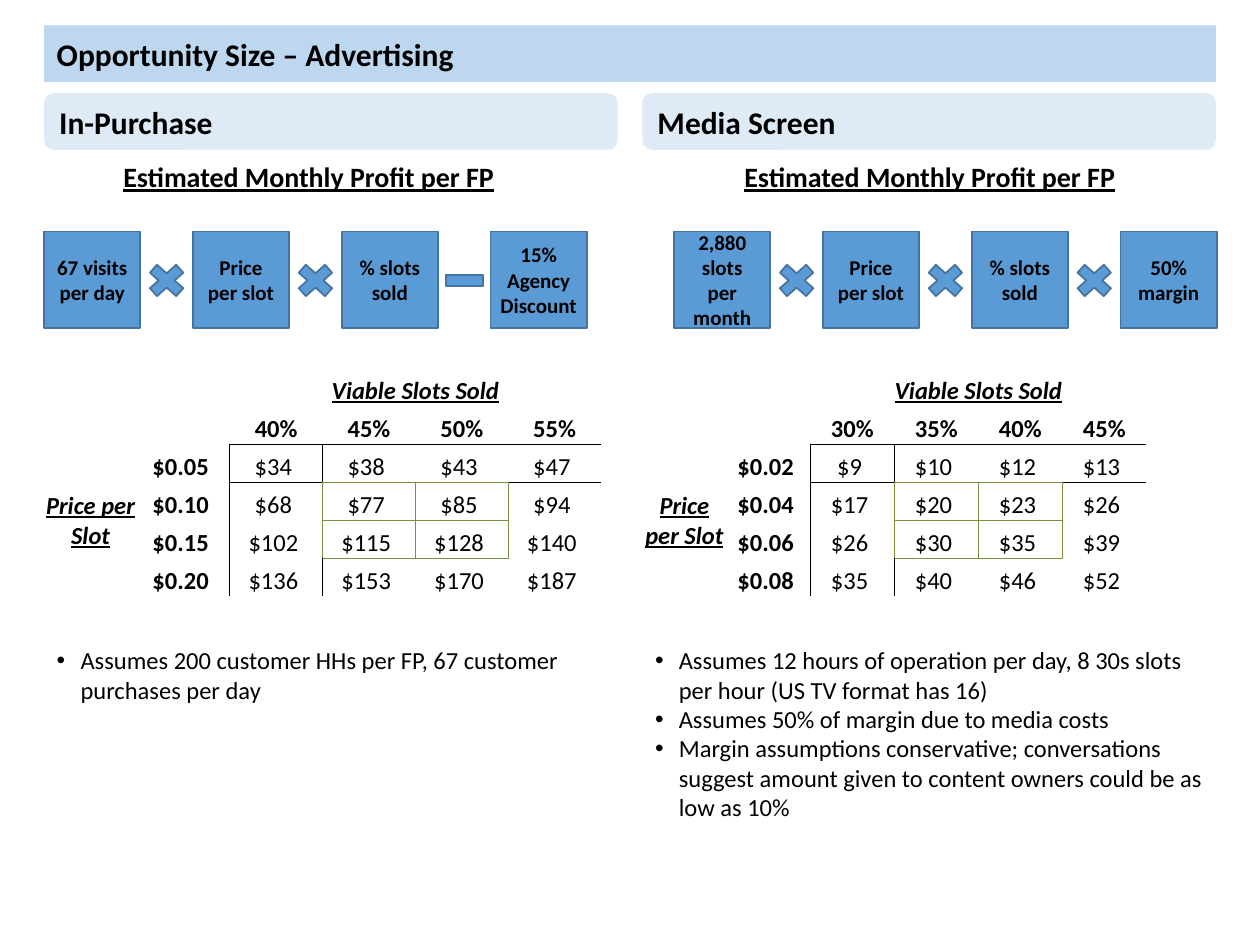
from lxml.etree import SubElement
from pptx import Presentation
from pptx.dml.color import RGBColor
from pptx.enum.shapes import MSO_SHAPE
from pptx.enum.text import MSO_ANCHOR, MSO_AUTO_SIZE, PP_ALIGN
from pptx.oxml.ns import qn
from pptx.util import Cm, Pt

BLACK, BLUE, BLUE_EDGE, GREEN = "000000", "5B9BD5", "43739E", "76933C"
TITLE_FILL, HEAD_FILL = "BDD7EE", "DEEBF7"
NO_GRID_STYLE = "{2D5ABB26-0587-4C30-8999-92F81FD0307C}"
TIMES, MINUS = MSO_SHAPE.MATH_MULTIPLY, MSO_SHAPE.MATH_MINUS
COLUMN_W = 11.56

COLUMNS = [
    dict(x=0.89, head="In-Purchase", caption_dx=0.89, flow_dx=0,
         steps=["67 visits per day", "Price per slot", "% slots sold", "15% Agency Discount"],
         signs=[TIMES, TIMES, MINUS], table_w=11.23,
         rates=["40%", "45%", "50%", "55%"],
         prices=["$0.05 ", "$0.10 ", "$0.15 ", "$0.20 "],
         profits=[[34, 38, 43, 47], [68, 77, 85, 94],
                  [102, 115, 128, 140], [136, 153, 170, 187]],
         notes_h=1.45,
         notes=["Assumes 200 customer HHs per FP, 67 customer purchases per day"]),
    dict(x=12.95, head="Media Screen", caption_dx=1.35, flow_dx=0.64,
         steps=["2,880 slots per month", "Price per slot", "% slots sold", "50% margin"],
         signs=[TIMES, TIMES, TIMES], table_w=10.16,
         rates=["30%", "35%", "40%", "45%"],
         prices=["$0.02 ", "$0.04 ", "$0.06 ", "$0.08 "],
         profits=[[9, 10, 12, 13], [17, 20, 23, 26],
                  [26, 30, 35, 39], [35, 40, 46, 52]],
         notes_h=3.84,
         notes=["Assumes 12 hours of operation per day, 8 30s slots per hour (US TV format has 16)",
                "Assumes 50% of margin due to media costs",
                "Margin assumptions conservative; conversations suggest amount given to "
                "content owners could be as low as 10%"]),
]


def rgb(value):
    return RGBColor.from_string(value)


def format_text(tf, size, align=PP_ALIGN.LEFT, bold=False, italic=False, underline=False):
    for p in tf.paragraphs:
        p.alignment = align
        for r in p.runs:
            f = r.font
            f.name, f.size, f.color.rgb = "Calibri", Pt(size), rgb(BLACK)
            f.bold, f.italic, f.underline = bold, italic, underline


def place(sp, x, y, w, h):
    sp.left, sp.top, sp.width, sp.height = Cm(x), Cm(y), Cm(w), Cm(h)


def add_block(s, kind, x, y, w, h, fill, edge=None):
    sp = s.shapes.add_shape(kind, Cm(x), Cm(y), Cm(w), Cm(h))
    sp.shadow.inherit = False
    sp.fill.solid()
    sp.fill.fore_color.rgb = rgb(fill)
    if edge:
        sp.line.color.rgb = rgb(edge)
        sp.line.width = Pt(1)
    else:
        sp.line.fill.background()
    return sp


def add_title(s, text, x, y, w, h):
    sp = s.shapes.title
    place(sp, x, y, w, h)
    geom = SubElement(sp._element.spPr, qn("a:prstGeom"), prst="roundRect")
    SubElement(geom, qn("a:avLst"))
    sp.fill.solid()
    sp.fill.fore_color.rgb = rgb(TITLE_FILL)
    tf = sp.text_frame
    tf.text = text
    tf.auto_size = MSO_AUTO_SIZE.NONE
    tf.vertical_anchor = MSO_ANCHOR.MIDDLE
    format_text(tf, 18, bold=True)


def add_heading(s, text, x, y, w, h):
    tf = add_block(s, MSO_SHAPE.ROUNDED_RECTANGLE, x, y, w, h, HEAD_FILL).text_frame
    tf.text = text
    tf.vertical_anchor = MSO_ANCHOR.MIDDLE
    format_text(tf, 18, bold=True)


def add_caption(s, text, x, y, w, h):
    tf = s.shapes.add_textbox(Cm(x), Cm(y), Cm(w), Cm(h)).text_frame
    tf.word_wrap = True
    tf.auto_size = MSO_AUTO_SIZE.SHAPE_TO_FIT_TEXT
    tf.text = text
    format_text(tf, 16, PP_ALIGN.CENTER, bold=True, underline=True)


def add_flow(s, steps, signs, x, y):
    side, pitch = 1.94, 3.0
    for i, step in enumerate(steps):
        tf = add_block(s, MSO_SHAPE.RECTANGLE, x + i * pitch, y, side, side,
                       BLUE, BLUE_EDGE).text_frame
        tf.text = step
        tf.vertical_anchor = MSO_ANCHOR.MIDDLE
        if "Discount" in step:
            tf.margin_left = tf.margin_right = 0
        format_text(tf, 12, PP_ALIGN.CENTER, bold=True)
    for i, sign in enumerate(signs):
        add_block(s, sign, x + i * pitch + 1.96, y + 0.53, 1.02, 0.91, BLUE, BLUE_EDGE)


def cell_borders(row, col):
    """Black axes left of and above the figures, green frame round the middle four."""
    body_row, body_col = row >= 2, col >= 2
    mid_row, mid_col = row in (3, 4), col in (3, 4)
    edges = {}
    if body_row and col in (1, 2):
        edges["R" if col == 1 else "L"] = BLACK
    if body_col and row in (1, 2):
        edges["B" if row == 1 else "T"] = BLACK
    if mid_row and col in (3, 5):
        edges["L"] = GREEN
    if mid_row and col in (2, 4):
        edges["R"] = GREEN
    if mid_col and row in (3, 5):
        edges["T"] = GREEN
    if mid_col and row in (2, 4):
        edges["B"] = GREEN
    return edges


def format_cell(cell, row, col):
    cell.margin_left = cell.margin_right = cell.margin_top = Cm(0.03)
    cell.margin_bottom = 0
    cell.vertical_anchor = MSO_ANCHOR.MIDDLE if col == 0 else MSO_ANCHOR.BOTTOM
    label = row == 0 or col == 0
    format_text(cell.text_frame, 14, PP_ALIGN.CENTER, bold=row < 2 or col < 2,
                italic=label, underline=label)
    if not cell.text:
        SubElement(cell.text_frame.paragraphs[0]._p, qn("a:endParaRPr"), sz="1400")
    edges = cell_borders(row, col)
    tc_pr = cell._tc.get_or_add_tcPr()
    for side in "LRTB":
        if side in edges:
            ln = SubElement(tc_pr, qn(f"a:ln{side}"), w=str(Pt(0.5)))
            SubElement(SubElement(ln, qn("a:solidFill")), qn("a:srgbClr"), val=edges[side])
    cell.fill.background()


def add_profit_table(s, rates, prices, profits, x, y, w, h):
    rows = [["", "", "Viable Slots Sold", "", "", ""], ["", ""] + rates]
    for price, values in zip(prices, profits):
        rows.append(["", price] + [f"${v} " for v in values])
    rows[2][0] = "Price per Slot"
    tbl = s.shapes.add_table(6, 6, Cm(x), Cm(y), Cm(w), Cm(h)).table
    tbl.first_row = tbl.horz_banding = False
    tbl._tbl.tblPr.find(qn("a:tableStyleId")).text = NO_GRID_STYLE
    for i, texts in enumerate(rows):
        for j, text in enumerate(texts):
            cell = tbl.cell(i, j)
            cell.text = text
            format_cell(cell, i, j)
    tbl.cell(0, 2).merge(tbl.cell(0, 5))
    tbl.cell(2, 0).merge(tbl.cell(5, 0))


def add_notes_list(sp, notes, x, y, w, h):
    place(sp, x, y, w, h)
    tf = sp.text_frame
    tf.text = "\n".join(notes)
    tf.auto_size = MSO_AUTO_SIZE.SHAPE_TO_FIT_TEXT
    for p in tf.paragraphs:
        p_pr = p._p.get_or_add_pPr()
        p_pr.set("marL", str(Cm(0.48)))
        p_pr.set("indent", str(-Cm(0.48)))
        SubElement(p_pr, qn("a:buFont"), typeface="Arial")
        SubElement(p_pr, qn("a:buChar"), char="•")
        p.space_before = Pt(0)
    format_text(tf, 14)


def add_column(s, body, c):
    x = c["x"]
    add_heading(s, c["head"], x, 1.88, COLUMN_W, 1.14)
    add_caption(s, "Estimated Monthly Profit per FP", x + c["caption_dx"], 3.1, 8.89, 0.94)
    add_flow(s, c["steps"], c["signs"], x + c["flow_dx"], 4.67)
    add_profit_table(s, c["rates"], c["prices"], c["profits"], x, 7.42, c["table_w"], 4.6)
    add_notes_list(body, c["notes"], x, 12.88, COLUMN_W, c["notes_h"])


def main():
    prs = Presentation()
    prs.slide_width, prs.slide_height = Cm(25.4), Cm(19.05)
    s = prs.slides.add_slide(prs.slide_layouts[3])
    add_title(s, "Opportunity Size – Advertising", 0.89, 0.51, 23.62, 1.14)
    for index, column in enumerate(COLUMNS, start=1):
        add_column(s, s.placeholders[index], column)
    prs.save("out.pptx")


if __name__ == "__main__":
    main()
